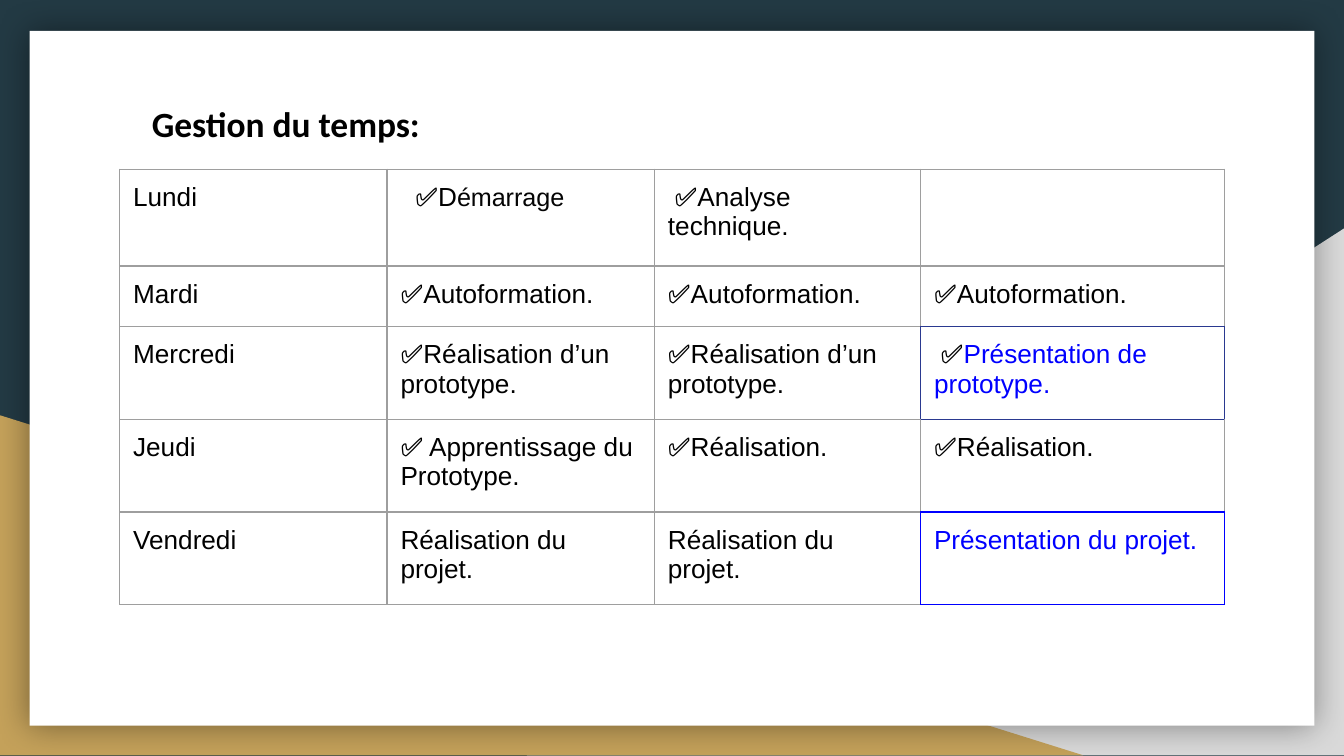
import pptx
import pptx.dml.color
import pptx.enum.shapes
import pptx.enum.text
import pptx.oxml
import pptx.oxml.ns
import pptx.util
from pptx.util import Inches

NS = pptx.oxml.ns.nsdecls("a")
GREY, BLACK, BLUE, NAVY = "9E9E9E", "000000", "0000FF", "2A3990"


def rgb(value):
    return pptx.dml.color.RGBColor.from_string(value)


def style(run, font, size, color):
    run.font.name = font
    run.font.size = pptx.util.Pt(size)
    run.font.color.rgb = rgb(color)


deck = pptx.Presentation()
deck.slide_width = Inches(10)
deck.slide_height = Inches(10) * 9 // 16
slide = deck.slides.add_slide(deck.slide_layouts[5])
slide.background.fill.solid()
slide.background.fill.fore_color.rgb = rgb("233A44")

# Corner triangles and the white sheet
kinds = pptx.enum.shapes.MSO_SHAPE
backdrop = []
for kind, box, color in [
    (kinds.RIGHT_TRIANGLE, (3.92, 1.7, 6.08, 3.92), "D9D9D9"),
    (kinds.RIGHT_TRIANGLE, (0, 3.09, 8.06, 2.53), "C4A15A"),
    (kinds.RECTANGLE, (0.22, 0.23, 9.56, 5.17), "FFFFFF"),
]:
    part = slide.shapes.add_shape(kind, *map(Inches, box))
    part.shadow.inherit = False
    part.fill.solid()
    part.fill.fore_color.rgb = rgb(color)
    part.line.fill.background()
    backdrop.append(part)
right_corner, left_corner, sheet = backdrop
right_corner._element.spPr.xfrm.set("flipH", "1")
sheet._element.spPr.find(pptx.oxml.ns.qn("a:effectLst")).append(pptx.oxml.parse_xml(
    f'<a:outerShdw {NS} blurRad="{pptx.util.Pt(18)}" dist="0" dir="0" algn="ctr" rotWithShape="0">'
    '<a:srgbClr val="000000"><a:alpha val="40000"/></a:srgbClr></a:outerShdw>'))

# "|" starts the part of a cell that has its own style
week = [
    ["Lundi", "✅D|émarrage", "✅Analyse technique.", ""],
    ["Mardi"] + ["✅Autoformation."] * 3,
    ["Mercredi"] + ["✅Réalisation d’un prototype."] * 2 + ["✅|Présentation de prototype."],
    ["Jeudi", "✅ Apprentissage du Prototype.", "✅Réalisation.", "✅Réalisation."],
    ["Vendredi"] + ["Réalisation du projet."] * 2 + ["|Présentation du projet."],
]
accents = {(0, 1): (13.5, "040404"), (2, 3): (14, BLUE), (4, 3): (14, BLUE)}
indents = {(0, 1): 0.11, (0, 2): 0.05, (2, 3): 0.05}
frames = {(2, 3): NAVY, (4, 3): BLUE}
sides = {"lnL": (0, -1), "lnR": (0, 1), "lnT": (-1, 0), "lnB": (1, 0)}
column_widths = [1.99, 1.99, 1.98, 2.26]
row_heights = [0.72, 0.45, 0.69, 0.69, 0.69]

schedule = slide.shapes.add_table(
    len(week), len(column_widths), Inches(0.89), Inches(1.26),
    Inches(sum(column_widths)), Inches(sum(row_heights))).table
schedule.first_row = schedule.horz_banding = False
for column, width in zip(schedule.columns, column_widths):
    column.width = Inches(width)
for row, height in zip(schedule.rows, row_heights):
    row.height = Inches(height)

for r, day in enumerate(week):
    for c, entry in enumerate(day):
        cell = schedule.cell(r, c)
        cell.margin_left = cell.margin_right = Inches(0.1)
        cell.margin_top = cell.margin_bottom = Inches(0.1)
        paragraph = cell.text_frame.paragraphs[0]
        if (r, c) in indents:
            properties = paragraph._p.get_or_add_pPr()
            properties.set("marL", "0")
            properties.set("indent", str(Inches(indents[r, c])))
        plain, _, accented = entry.partition("|")
        for text, look in [(plain, (14, BLACK)), (accented, accents.get((r, c)))]:
            if text:
                run = paragraph.add_run()
                run.text = text
                style(run, "Arial", *look)

        # A framed cell also colours the edges it shares with its neighbours
        for side, (down, across) in sides.items():
            color = frames.get((r, c)) or frames.get((r + down, c + across), GREY)
            cell._tc.get_or_add_tcPr().append(pptx.oxml.parse_xml(
                f'<a:{side} {NS} w="{pptx.util.Pt(0.75)}"><a:solidFill>'
                f'<a:srgbClr val="{color}"/></a:solidFill></a:{side}>'))
        cell.fill.background()

# The title stands in front of the sheet
title = slide.shapes.title
slide.shapes._spTree.append(title._element)
title.left, title.top = Inches(1.03), Inches(0.66)
title.width, title.height = Inches(3.19), Inches(0.52)
frame = title.text_frame
frame.text = "Gestion du temps:"
frame.word_wrap = True
frame.auto_size = pptx.enum.text.MSO_AUTO_SIZE.SHAPE_TO_FIT_TEXT
frame.vertical_anchor = pptx.enum.text.MSO_ANCHOR.TOP
frame.margin_left = frame.margin_right = Inches(0.1)
frame.margin_top = frame.margin_bottom = Inches(0.1)
heading = frame.paragraphs[0]
heading.alignment = pptx.enum.text.PP_ALIGN.LEFT
style(heading.runs[0], "Calibri", 19, BLACK)
heading.runs[0].font.bold = True

deck.save("out.pptx")
